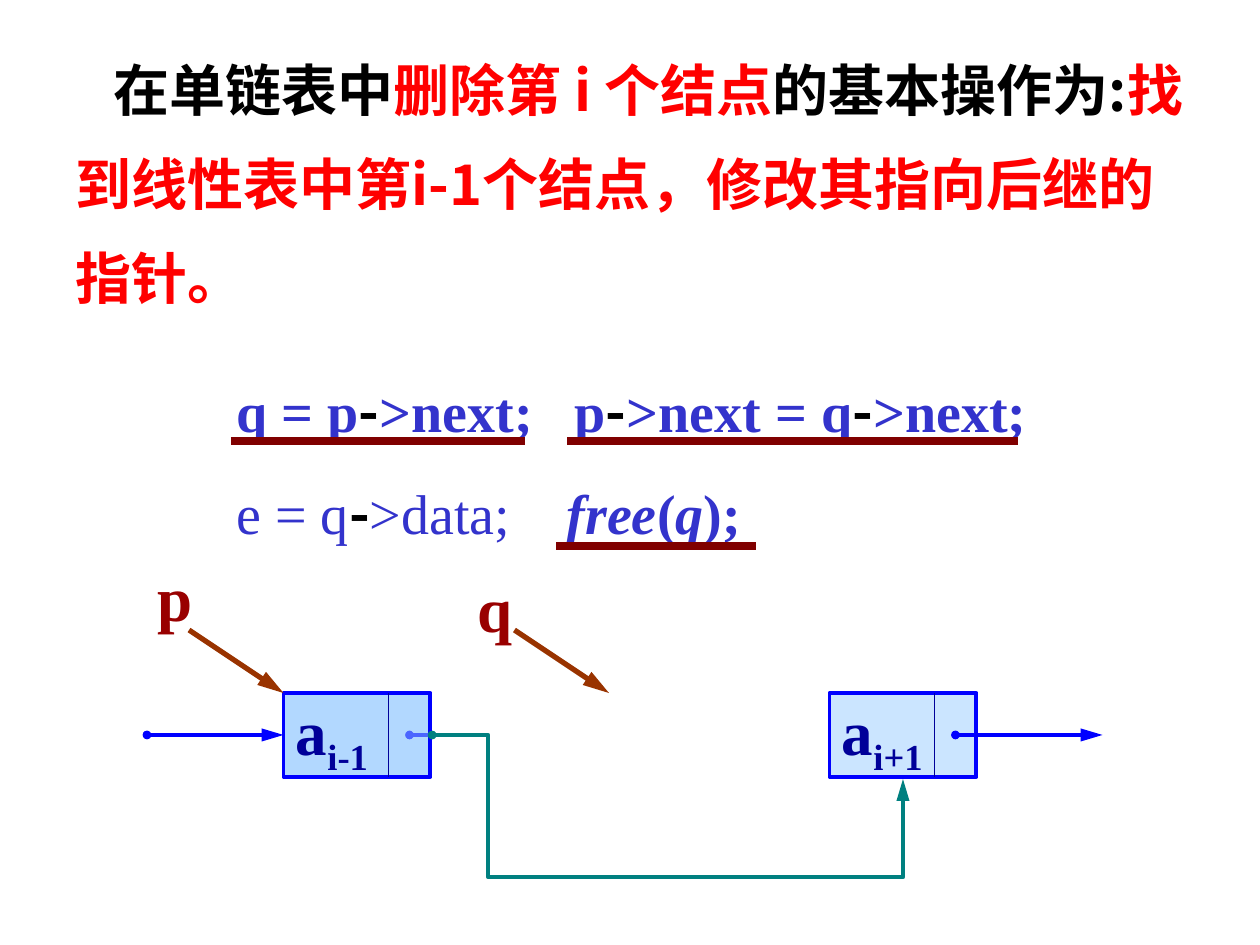
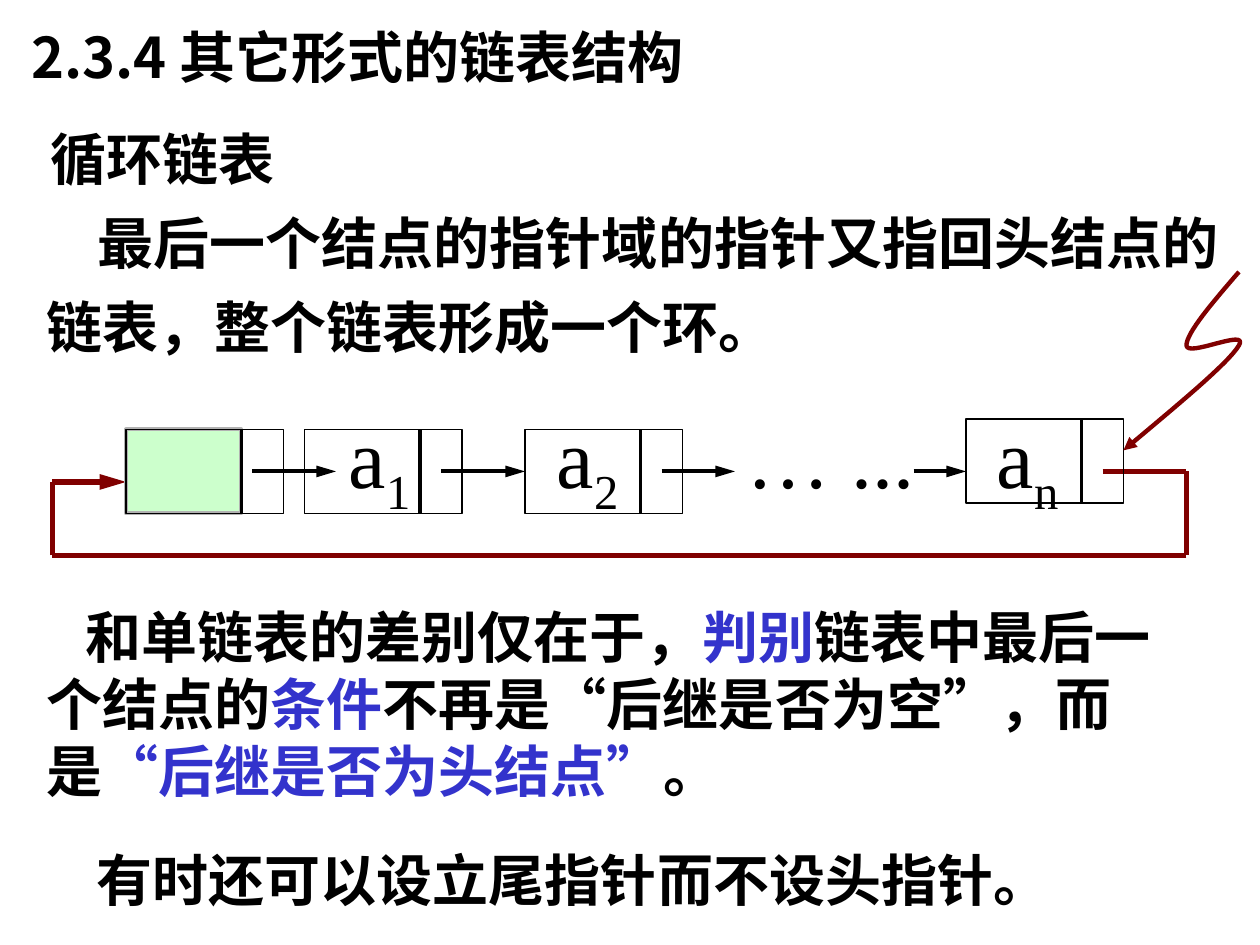
import itertools
from typing import NamedTuple, Optional

import lxml.etree
import pptx
import pptx.dml.color
import pptx.enum.shapes
import pptx.enum.text
import pptx.oxml.ns
import pptx.util

CELL = pptx.util.Inches(1 / 12)
COLUMNS, ROWS = 120, 90
CJK, SERIF = "Noto Sans CJK SC", "Times New Roman"
BLACK, RED, BLUE, MAROON = "000000", "FF0000", "3333CC", "800000"
NODE_BLUE, NODE_TEXT, NODE_FILL = "0000FF", "000099", "99CCFF"
LABEL, POINTER, TEAL = "990000", "993300", "008080"
GREEN, GREY, FADED_BLUE = "CCFFCC", "B2B2B2", "4C66FF"

Point = tuple[float, float]


class Area(NamedTuple):
    left: float
    top: float
    width: float
    height: float


class Span(NamedTuple):
    text: str
    color: str = BLACK
    font: str = CJK
    size: float = 32
    bold: bool = True
    italic: bool = False
    lowered: bool = False


class Para(NamedTuple):
    spans: list[Span]
    spacing: float = 1.0
    indent: float = 0


class Stroke(NamedTuple):
    color: str
    width: float
    head: bool = False
    tail: bool = False
    length: str = "lg"


class Node(NamedTuple):
    left: float
    top: float
    divider: float
    width: float
    frame: Stroke
    rule: Stroke
    fill: Optional[str] = None
    opacity: int = 100
    label: Optional[str] = None


NODE_HEIGHT = 8
BOLD_UNDERLINE = Stroke(MAROON, 4.5)
LINK = Stroke(NODE_BLUE, 2.5, head=True, tail=True)
POINT_AT = Stroke(POINTER, 3, tail=True)
STEP = Stroke(BLACK, 2.25, tail=True)


def grid(value: float) -> int:
    return round(value * CELL)


def rgb(value: str) -> pptx.dml.color.RGBColor:
    return pptx.dml.color.RGBColor.from_string(value)


def add_child(parent, tag: str, **attributes: str):
    return lxml.etree.SubElement(parent, pptx.oxml.ns.qn(tag), **attributes)


def apply_stroke(shape, stroke: Stroke) -> None:
    shape.line.color.rgb = rgb(stroke.color)
    shape.line.width = pptx.util.Pt(stroke.width)
    outline = shape.line._get_or_add_ln()
    if stroke.head:
        add_child(outline, "a:headEnd", type="oval", w="sm", len="sm")
    if stroke.tail:
        add_child(outline, "a:tailEnd", type="triangle", w="med", len=stroke.length)


def fill_text(frame, content: Para) -> None:
    para = frame.paragraphs[0]
    para.alignment = pptx.enum.text.PP_ALIGN.LEFT
    para.line_spacing = content.spacing
    properties = para._p.get_or_add_pPr()
    properties.set("marL", "0")
    properties.set("indent", str(grid(content.indent)))
    for part in content.spans:
        span = para.add_run()
        span.text = part.text
        span.font.size = pptx.util.Pt(part.size)
        span.font.bold = part.bold
        span.font.italic = part.italic
        span.font.color.rgb = rgb(part.color)
        span.font.name = part.font
        run_properties = span._r.get_or_add_rPr()
        add_child(run_properties, "a:ea", typeface=CJK)
        if part.lowered:
            run_properties.set("baseline", "-25000")


def add_text(page, area: Area, content: Para, wrap: bool = True) -> None:
    box = page.shapes.add_textbox(*map(grid, area))
    box.text_frame.word_wrap = wrap
    box.text_frame.auto_size = pptx.enum.text.MSO_AUTO_SIZE.SHAPE_TO_FIT_TEXT
    fill_text(box.text_frame, content)


def add_line(page, start: Point, end: Point, stroke: Stroke, kind: str = "STRAIGHT"):
    connector = page.shapes.add_connector(
        pptx.enum.shapes.MSO_CONNECTOR[kind], *map(grid, start + end))
    apply_stroke(connector, stroke)
    add_child(connector._element.spPr, "a:effectLst")
    return connector


def add_rectangle(page, area: Area, stroke: Stroke, fill: Optional[str], opacity: int = 100):
    box = page.shapes.add_shape(
        pptx.enum.shapes.MSO_SHAPE.RECTANGLE, *map(grid, area))
    box.shadow.inherit = False
    if fill:
        box.fill.solid()
        box.fill.fore_color.rgb = rgb(fill)
        if opacity < 100:
            color = box._element.spPr.find(".//" + pptx.oxml.ns.qn("a:srgbClr"))
            add_child(color, "a:alpha", val=str(opacity * 1000))
    else:
        box.fill.background()
    apply_stroke(box, stroke)
    return box


def add_node(page, node: Node):
    area = Area(node.left, node.top, node.width, NODE_HEIGHT)
    box = add_rectangle(page, area, node.frame, node.fill, node.opacity)
    if node.label:
        box.text_frame.vertical_anchor = pptx.enum.text.MSO_ANCHOR.MIDDLE
        fill_text(box.text_frame, Para([
            Span("a", NODE_TEXT, SERIF, 36),
            Span(node.label, NODE_TEXT, SERIF, 36, lowered=True)]))
    column = node.left + node.divider
    add_line(page, (column, node.top), (column, node.top + NODE_HEIGHT), node.rule)
    return box


def add_curve(page, start: Point, bends: list[tuple[Point, Point, Point]], stroke: Stroke) -> None:
    points, steps = [], 16
    origin = start
    for bend in bends:
        corners = (origin, *bend)
        for step in range(1, steps + 1):
            t = step / steps
            weights = ((1 - t) ** 3, 3 * t * (1 - t) ** 2, 3 * t * t * (1 - t), t ** 3)
            points.append(tuple(
                grid(sum(w * corner[axis] for w, corner in zip(weights, corners)))
                for axis in (0, 1)))
        origin = bend[-1]
    builder = page.shapes.build_freeform(*map(grid, start))
    builder.add_line_segments(points, close=False)
    curve = builder.convert_to_shape()
    curve.shadow.inherit = False
    curve.fill.background()
    apply_stroke(curve, stroke)


def code(text: str, bold: bool = True, italic: bool = False) -> Span:
    return Span(text, BLUE, SERIF, bold=bold, italic=italic)


def draw_deletion(page) -> None:
    add_text(page, Area(6, 2.16, 108.24, 28.08), Para([
        Span("在单链表中"),
        Span("删除第 i 个结点", RED),
        Span("的基本操作为:"),
        Span("找到线性表中第i-1个结点，修改其指向后继的指针。", RED),
    ], spacing=1.4, indent=3.6))

    top, middle = 66, 70
    frame, rule = Stroke(NODE_BLUE, 2.25), Stroke(NODE_TEXT, 0.75)
    previous = add_node(page, Node(27, top, 10, 14, frame, rule, NODE_FILL, 75, "i-1"))
    add_node(page, Node(79, top, 10, 14, frame, rule, NODE_FILL, 50, "i+1"))
    add_line(page, (14, middle), (27, middle), LINK).end_connect(previous, 1)
    add_line(page, (91, middle), (105, middle), LINK)
    add_line(page, (39, middle), (41, middle), Stroke(FADED_BLUE, 2.5, head=True))

    bypass = add_line(page, (41.16, middle), (86, 74.2),
                      Stroke(TEAL, 2.5, head=True, tail=True), "ELBOW")
    geometry = bypass._element.spPr.find(pptx.oxml.ns.qn("a:prstGeom"))
    geometry.set("prst", "bentConnector4")
    guides = geometry.find(pptx.oxml.ns.qn("a:avLst"))
    if guides is None:
        guides = add_child(geometry, "a:avLst")
    for name, share in (("adj1", 11900), ("adj2", 322400)):
        add_child(guides, "a:gd", name=name, fmla=f"val {share}")

    dash = Span("-")
    first_row, row_step = 32.04, 9.7
    statements = [
        (21.36, 0, 31, [code("q = p"), dash, code(">next;")]),
        (53.55, 0, 50, [code("p"), dash, code(">next = q"), dash, code(">next;")]),
        (21.36, 1, 31, [code("e = q", bold=False), dash, code(">data;", bold=False)]),
        (52.8, 1, 24, [code("free", italic=True), code("("),
                       code("q", italic=True), code(");")]),
    ]
    for left, row, width, spans in statements:
        add_text(page, Area(left, first_row + row * row_step, width, 10.9),
                 Para(spans, spacing=1.5))
    for left, right, row in ((22, 50, 42), (54, 97, 42), (53, 72, 52)):
        add_line(page, (left, row), (right, row), BOLD_UNDERLINE)

    for name, area, start in (("p", Area(13.8, 52.56, 5.76, 8.4), 18),
                              ("q", Area(44.28, 53.64, 5.76, 8.4), 49)):
        add_line(page, (start, 60), (start + 9, top), POINT_AT)
        add_text(page, area, Para([Span(name, LABEL, SERIF, 36)]), wrap=False)


def draw_circular_list(page) -> None:
    add_text(page, Area(1.8, 1.56, 66.72, 7.56),
             Para([Span("2.3.4 其它形式的链表结构")]), wrap=False)
    add_text(page, Area(2.4, 11.28, 25.2, 7.56),
             Para([Span("循环链表", font=SERIF)], indent=1.2), wrap=False)
    add_text(page, Area(3.24, 17.64, 114.36, 17.16), Para([
        Span("最后一个结点的指针域的指针又指回头结点的链表，整个链表形成一个环。"),
    ], spacing=1.25, indent=4.9))
    add_text(page, Area(3.24, 56.76, 112.2, 20.4), Para([
        Span("和单链表的差别仅在于，"), Span("判别", BLUE),
        Span("链表中最后一个结点的"), Span("条件", BLUE),
        Span("不再是“后继是否为空”，而是"),
        Span("“后继是否为头结点”", BLUE), Span("。"),
    ], indent=3.7))
    add_text(page, Area(8.04, 79.92, 99, 7.56),
             Para([Span("有时还可以设立尾指针而不设头指针。")]))

    top = 40.9
    middle, entry, bottom = top + 4, top + 5, top + 12
    loop = [(105, middle), (113, middle), (113, bottom), (5, bottom), (5, entry), (12, entry)]
    for start, end in itertools.pairwise(loop):
        add_line(page, start, end, Stroke(MAROON, 3, tail=end == loop[-1]))

    labels = [(32.04, "a", "1"), (51.85, "a", "2"), (69.95, "… ...", ""), (93.75, "a", "n")]
    for left, name, index in labels:
        spans = [Span(name, BLACK, SERIF, 48, False)]
        if index:
            spans.append(Span(index, BLACK, SERIF, 48, False, lowered=True))
        add_text(page, Area(left, 37.92, 12 if index else 20, 10.9), Para(spans))

    add_rectangle(page, Area(12, top, 11, NODE_HEIGHT), Stroke(GREY, 2.25), GREEN)
    frame, rule = Stroke(BLACK, 0.75), Stroke(BLACK, 2.25)
    boxes = {left: add_node(page, Node(left, row, 11, 15, frame, rule))
             for left, row in ((12, top), (29, top), (50, top), (92, top - 1))}
    for start, end in ((24, 32), (42, 50), (63, 70), (87, 92)):
        step = add_line(page, (start, middle), (end, middle), STEP)
        if end == 50:
            step.end_connect(boxes[end], 1)

    add_curve(page, (118, 25.9), [
        ((115.5, 28.8), (113, 31.7), (113, 32.9)),
        ((113, 34.1), (119, 31.2), (118, 32.9)),
        ((117, 34.6), (112, 38.7), (107, 42.9)),
    ], Stroke(MAROON, 2.5, tail=True, length="med"))


def main() -> None:
    deck = pptx.Presentation()
    deck.slide_width, deck.slide_height = grid(COLUMNS), grid(ROWS)
    for draw in (draw_deletion, draw_circular_list):
        draw(deck.slides.add_slide(deck.slide_layouts[6]))
    deck.save("out.pptx")


if __name__ == "__main__":
    main()
